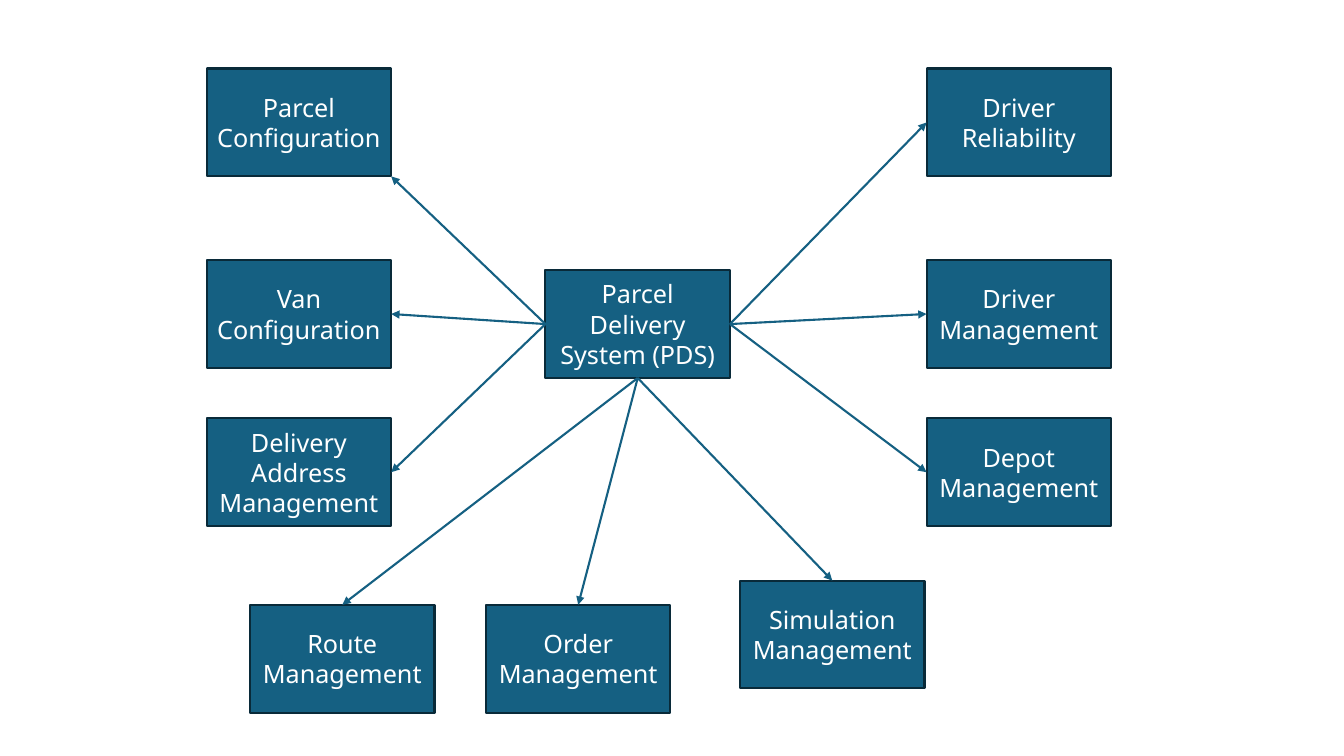
from lxml import etree
from pptx import Presentation
from pptx import util as u
from pptx.dml.color import RGBColor
from pptx.enum import shapes, text
from pptx.oxml.ns import qn

WIDE, HIGH = 1.83, 1.07
LEFT, RIGHT = 2.05, 9.19
ROWS = (0.68, 2.58, 4.15)
SIDES = {"left": 1, "bottom": 2, "right": 3}
BLUE, NAVY, WHITE = "156082", "092A39", "FFFFFF"


def color(code):
    """Turn a hex string into a colour."""
    return RGBColor.from_string(code)


def write(shape, words, size=18, font="Noto Sans", fill=WHITE):
    """Put centred text into a shape."""
    frame = shape.text_frame
    frame.word_wrap = True
    frame.vertical_anchor = text.MSO_ANCHOR.MIDDLE
    para = frame.paragraphs[0]
    para.alignment = text.PP_ALIGN.CENTER
    run = para.add_run()
    run.text = words
    run.font.size = u.Pt(size)
    run.font.name = font
    run.font.color.rgb = color(fill)


def add_box(slide, words, left, top):
    """Draw one labelled box."""
    box = slide.shapes.add_shape(
        shapes.MSO_SHAPE.RECTANGLE,
        *map(u.Inches, (left, top, WIDE, HIGH)))
    box.shadow.inherit = False
    box.fill.solid()
    box.fill.fore_color.rgb = color(BLUE)
    box.line.color.rgb = color(NAVY)
    box.line.width = u.Pt(1.5)
    write(box, words)
    return box


def add_arrow(slide, hub, side, box, site):
    """Draw an arrow from a hub side to a box site, or to its lower right corner."""
    line = slide.shapes.add_connector(
        shapes.MSO_CONNECTOR.STRAIGHT, 0, 0,
        box.left + box.width, box.top + box.height)
    line.begin_connect(hub, SIDES[side])
    if site is not None:
        line.end_connect(box, site)
    line.line.color.rgb = color(BLUE)
    line.line.width = u.Pt(1.5)
    etree.SubElement(line.line._get_or_add_ln(), qn("a:tailEnd"), type="triangle")
    etree.SubElement(line._element.spPr, qn("a:effectLst"))


def add_group(slide, hub, side, site, items):
    """Draw the boxes on one side of the hub with their arrows."""
    for words, left, top in items:
        box = add_box(slide, words, left, top)
        corner = words == "Parcel Configuration"
        add_arrow(slide, hub, side, box, None if corner else site)


def add_map(slide):
    """Draw the hub and the three groups around it."""
    hub = add_box(slide, "Parcel Delivery System (PDS)", 5.41, 2.68)
    west = ("Parcel Configuration", "Van Configuration", "Delivery Address Management")
    east = ("Driver Reliability", "Driver Management", "Depot Management")
    south = (("Route Management", 2.48, 6), ("Order Management", 4.82, 6),
             ("Simulation Management", 7.34, 5.76))
    add_group(slide, hub, "left", 3, [(w, LEFT, y) for w, y in zip(west, ROWS)])
    add_group(slide, hub, "right", 1, [(w, RIGHT, y) for w, y in zip(east, ROWS)])
    add_group(slide, hub, "bottom", 0, south)


def main():
    """Build and save the slide."""
    deck = Presentation()
    deck.slide_width, deck.slide_height = u.Inches(13.33), u.Inches(7.5)
    add_map(deck.slides.add_slide(deck.slide_layouts[6]))
    deck.save("out.pptx")


if __name__ == "__main__":
    main()
